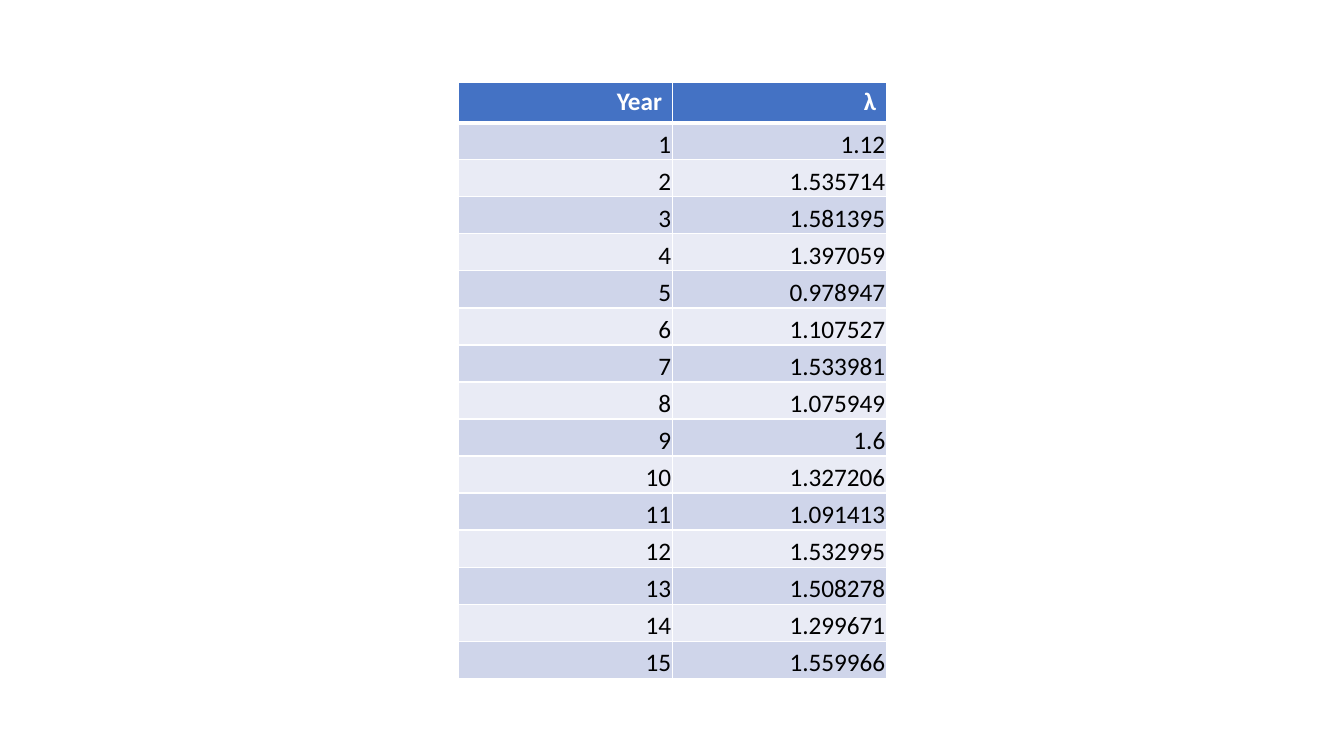
from dataclasses import dataclass

from pptx import Presentation
from pptx.dml.color import RGBColor as RGB
from pptx.enum.text import MSO_ANCHOR as Anchor, PP_ALIGN as Align
from pptx.oxml import parse_xml
from pptx.oxml.ns import nsdecls
from pptx.table import _Cell as Cell
from pptx.util import Pt


@dataclass(frozen=True)
class Theme:
    font: str = "Calibri"
    size: float = 18
    header_fill: str = "4472C4"
    bands: tuple[str, str] = ("CFD5EA", "E9EBF5")
    border: str = "FFFFFF"
    header_text: str = "FFFFFF"
    body_text: str = "000000"
    thin: float = 1
    thick: float = 3


@dataclass(frozen=True)
class RowStyle:
    fill: str
    color: str
    bold: bool
    top: float
    bottom: float
    layout: dict


THEME = Theme()
LEFT, TOP = 327.1, 58.5
COLUMN_WIDTH, ROW_HEIGHT = 153, 26.46
HEADER = ("Year", "λ")
GROWTH_RATES = (
    "1.12", "1.535714", "1.581395", "1.397059", "0.978947",
    "1.107527", "1.533981", "1.075949", "1.6", "1.327206",
    "1.091413", "1.532995", "1.508278", "1.299671", "1.559966",
)
HEADER_LAYOUT = {"vertical_anchor": Anchor.TOP}
BODY_LAYOUT = {
    "vertical_anchor": Anchor.BOTTOM,
    "margin_left": Pt(0.75),
    "margin_right": Pt(0.75),
    "margin_top": Pt(0.75),
    "margin_bottom": Pt(0),
}


def row_style(index: int) -> RowStyle:
    if index == 0:
        return RowStyle(THEME.header_fill, THEME.header_text, True,
                        THEME.thin, THEME.thick, HEADER_LAYOUT)
    top = THEME.thick if index == 1 else THEME.thin
    return RowStyle(THEME.bands[(index - 1) % 2], THEME.body_text, False,
                    top, THEME.thin, BODY_LAYOUT)


def add_borders(cell: Cell, style: RowStyle) -> None:
    tc_pr = cell._tc.get_or_add_tcPr()
    widths = {"L": THEME.thin, "R": THEME.thin, "T": style.top, "B": style.bottom}
    for side, width in widths.items():
        tc_pr.append(parse_xml(
            f'<a:ln{side} {nsdecls("a")} w="{Pt(width)}"><a:solidFill>'
            f'<a:srgbClr val="{THEME.border}"/></a:solidFill></a:ln{side}>'
        ))


def draw_cell(cell: Cell, text: str, style: RowStyle) -> None:
    for name, value in style.layout.items():
        setattr(cell, name, value)
    add_borders(cell, style)
    cell.fill.solid()
    cell.fill.fore_color.rgb = RGB.from_string(style.fill)
    p = cell.text_frame.paragraphs[0]
    p.alignment = Align.RIGHT
    r = p.add_run()
    r.text = text
    font_format = {"name": THEME.font, "size": Pt(THEME.size), "bold": style.bold}
    for name, value in font_format.items():
        setattr(r.font, name, value)
    r.font.color.rgb = RGB.from_string(style.color)


def main() -> None:
    prs = Presentation()
    prs.slide_width, prs.slide_height = Pt(960), Pt(540)
    s = prs.slides.add_slide(prs.slide_layouts[6])
    rows = [HEADER, *((str(year), rate) for year, rate in enumerate(GROWTH_RATES, 1))]
    table = s.shapes.add_table(
        len(rows), len(HEADER), Pt(LEFT), Pt(TOP),
        Pt(COLUMN_WIDTH * len(HEADER)), Pt(ROW_HEIGHT * len(rows)),
    ).table
    for column in table.columns:
        column.width = Pt(COLUMN_WIDTH)
    for i, values in enumerate(rows):
        table.rows[i].height = Pt(ROW_HEIGHT)
        for j, text in enumerate(values):
            draw_cell(table.cell(i, j), text, row_style(i))
    prs.save("out.pptx")


if __name__ == "__main__":
    main()
